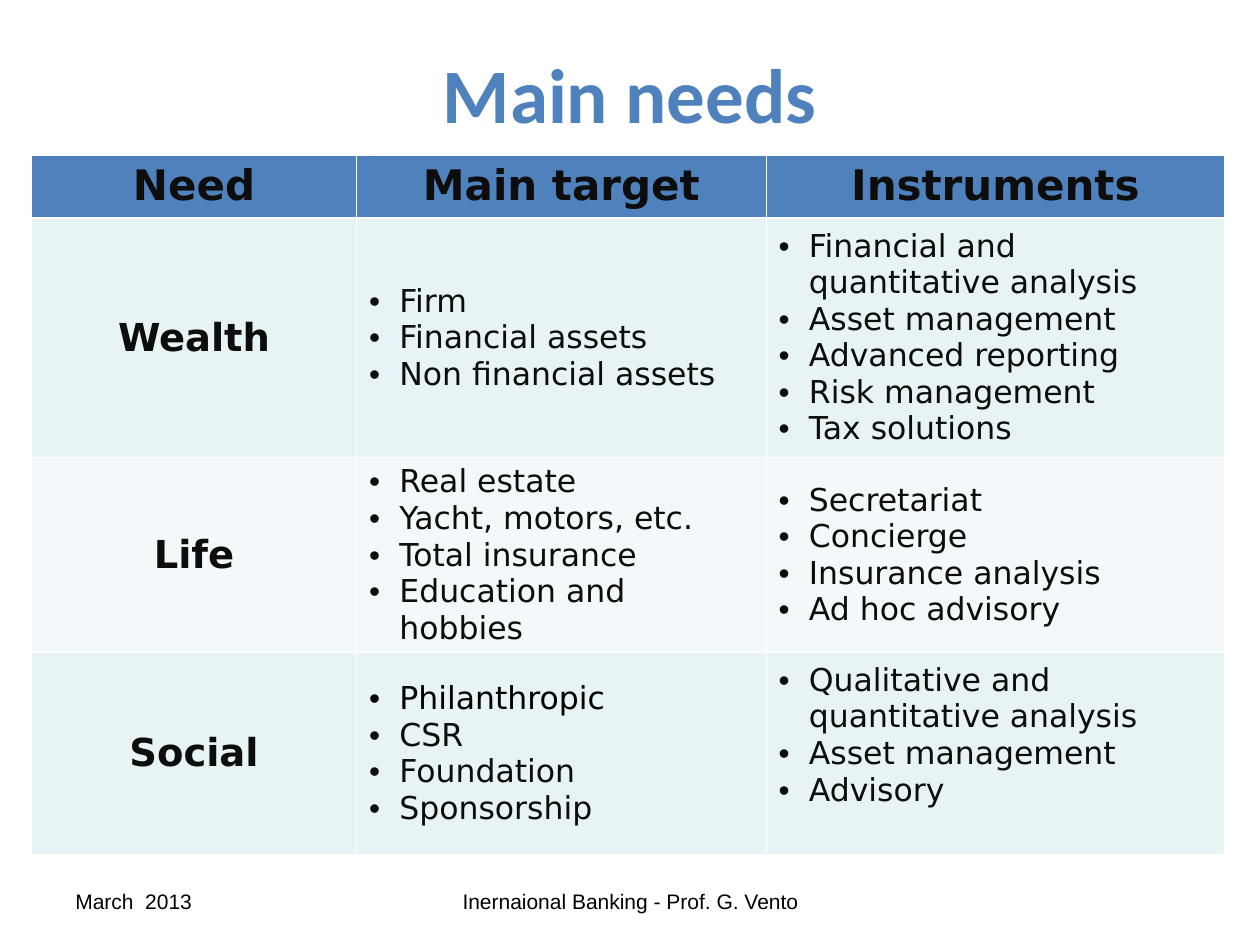
"""Build the "Main needs" slide: a title, a table of needs and a footer."""
from lxml.etree import SubElement
from pptx import Presentation
from pptx.dml.color import RGBColor
from pptx.enum.text import MSO_ANCHOR as ANCHOR, PP_ALIGN as ALIGN
from pptx.oxml.ns import qn
from pptx.util import Inches, Pt

COLORS = {"blue": "4F81BD", "ink": "0D0D0D", "black": "000000",
          "white": "FFFFFF", "odd": "E7F3F4", "even": "F3F9FA"}
COLS = [2.58, 3.25, 3.64]
ROWS = [0.5, 1.9, 1.53, 1.6]
HEADER = ["Need", "Main target", "Instruments"]
NEEDS = [
    ("Wealth",
     ["Firm", "Financial assets", "Non financial assets"],
     ["Financial and quantitative analysis", "Asset management",
      "Advanced reporting", "Risk management", "Tax solutions"]),
    ("Life",
     ["Real estate", "Yacht, motors, etc.", "Total insurance",
      "Education and hobbies"],
     ["Secretariat", "Concierge", "Insurance analysis", "Ad hoc advisory"]),
    ("Social",
     ["Philanthropic", "CSR", "Foundation", "Sponsorship"],
     ["Qualitative and quantitative analysis", "Asset management",
      "Advisory"]),
]


def write(tf, text, size, font="DejaVu Sans", color="ink", bold=False,
          align=ALIGN.LEFT):
    """Write a string, or a list of strings as bullets, into a text frame."""
    bullets = isinstance(text, list)
    for i, line in enumerate(text if bullets else [text]):
        p = tf.add_paragraph() if i else tf.paragraphs[0]
        p.alignment = align
        r = p.add_run()
        r.text = line
        r.font.size, r.font.name, r.font.bold = Pt(size), font, bold
        tint = "black" if line == "Philanthropic" else color
        r.font.color.rgb = RGBColor.from_string(COLORS[tint])
        if bullets:
            pPr = p._p.get_or_add_pPr()
            pPr.set("marL", str(Inches(0.24)))
            pPr.set("indent", str(-Inches(0.24)))
            SubElement(pPr, qn("a:buFont"), typeface="Arial")
            SubElement(pPr, qn("a:buChar"), char="•")


def border(cell, side, width):
    """Draw one white edge of a cell."""
    ln = SubElement(cell._tc.get_or_add_tcPr(), qn("a:ln" + side),
                    w=str(Pt(width)))
    fill = SubElement(ln, qn("a:solidFill"))
    SubElement(fill, qn("a:srgbClr"), val=COLORS["white"])


prs = Presentation()
prs.slide_width, prs.slide_height = Inches(10), Inches(7.5)
s = prs.slides.add_slide(prs.slide_layouts[5])

title = s.shapes.title
title.left, title.top = Inches(0.5), Inches(0.3)
title.width, title.height = Inches(9), Inches(0.87)
title.text_frame.vertical_anchor = ANCHOR.MIDDLE
write(title.text_frame, "Main needs", 44, font="Calibri", color="blue",
      bold=True, align=ALIGN.CENTER)

table = s.shapes.add_table(len(ROWS), len(COLS), Inches(0.25), Inches(1.23),
                           Inches(sum(COLS)), Inches(sum(ROWS))).table
for column, width in zip(table.columns, COLS):
    column.width = Inches(width)
for row, height in zip(table.rows, ROWS):
    row.height = Inches(height)

for i, texts in enumerate([HEADER, *NEEDS]):
    for j, text in enumerate(texts):
        cell = table.cell(i, j)
        for side in "LRTB":
            heavy = (i, side) in [(0, "B"), (1, "T")]
            border(cell, side, 1.47 if heavy else 0.45)
        fill = "blue" if i == 0 else "odd" if i % 2 else "even"
        cell.fill.solid()
        cell.fill.fore_color.rgb = RGBColor.from_string(COLORS[fill])
        cell.vertical_anchor = ANCHOR.MIDDLE if i else ANCHOR.TOP
        if isinstance(text, list):
            write(cell.text_frame, text, 18)
        else:
            write(cell.text_frame, text, 22 if i else 24, bold=True,
                  align=ALIGN.CENTER)
table.cell(3, 2).margin_bottom = Inches(0.34)

for text, left, width, align in [
        ("March  2013", 0.5, 2.33, ALIGN.LEFT),
        ("Inernaional Banking - Prof. G. Vento", 3.42, 3.17, ALIGN.CENTER)]:
    sp = s.shapes.add_textbox(Inches(left), Inches(6.95), Inches(width),
                              Inches(0.4))
    tf = sp.text_frame
    tf.word_wrap = True
    tf.vertical_anchor = ANCHOR.MIDDLE
    write(tf, text, 12, font="Arial", color="black", align=align)

prs.save("out.pptx")
